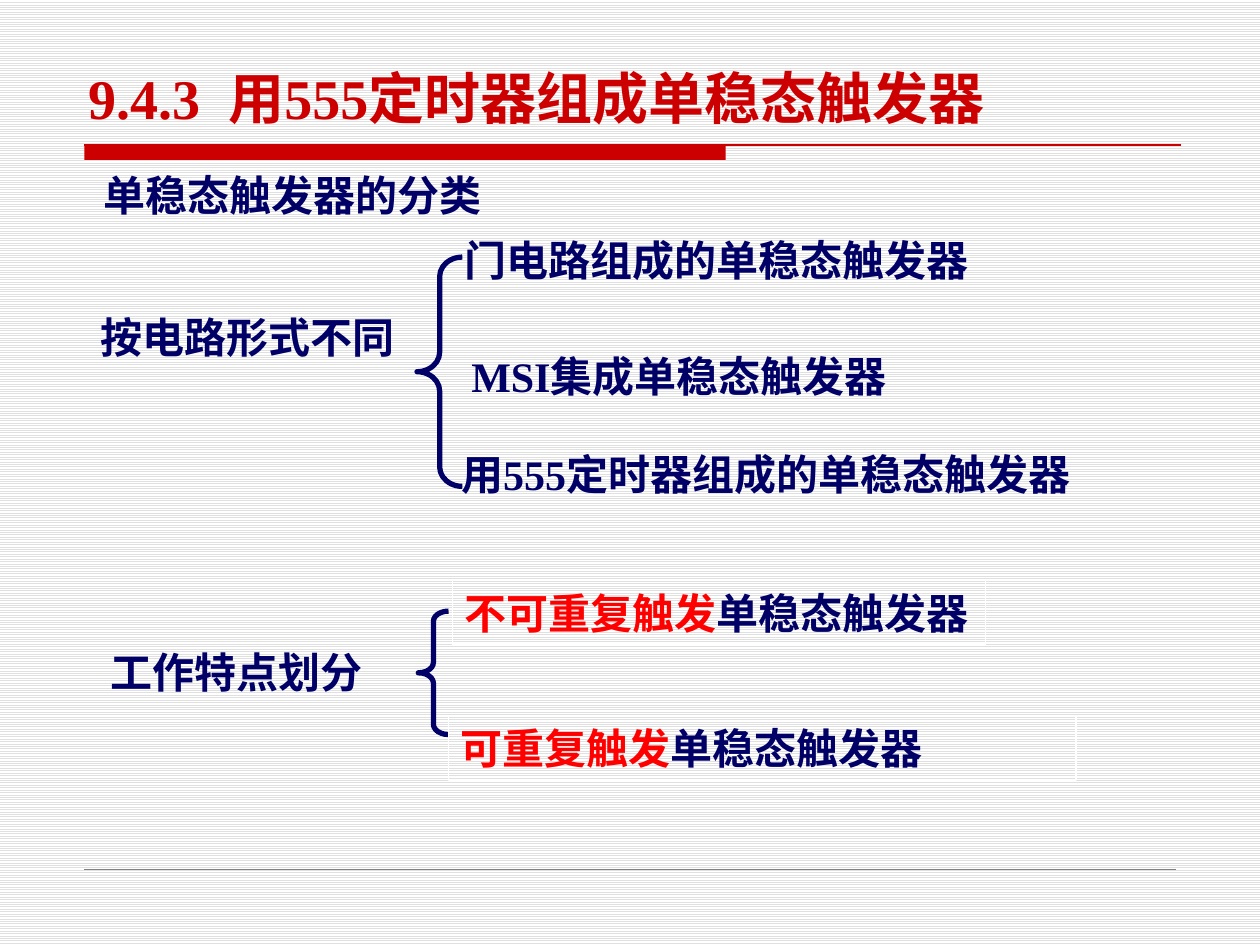
import dataclasses

import lxml.etree
import pptx
import pptx.dml.color
import pptx.enum.dml
import pptx.enum.shapes
import pptx.enum.text
import pptx.oxml.ns
import pptx.util

SHAPES = pptx.enum.shapes.MSO_SHAPE
ANCHORS = pptx.enum.text.MSO_ANCHOR


@dataclasses.dataclass(frozen=True)
class Theme:
    red: str = "CC0000"
    accent: str = "FF0000"
    navy: str = "000066"
    white: str = "FFFFFF"
    stripe: str = "E0E0E0"
    grey: str = "808080"
    title_size: int = 32
    body_size: int = 24
    serif: str = "Times New Roman"
    narrow: str = "Arial Narrow"
    chinese: str = "Noto Sans CJK SC"


def color(value):
    return pptx.dml.color.RGBColor.from_string(value)


class SlideBuilder:
    COLUMNS = 100
    ROWS = 75

    def __init__(self, deck, theme):
        self.deck = deck
        self.theme = theme
        self.page = deck.slides.add_slide(deck.slide_layouts[5])

    def place(self, left, top, width, height):
        column = self.deck.slide_width / self.COLUMNS
        row = self.deck.slide_height / self.ROWS
        return [round(n) for n in (left * column, top * row, width * column, height * row)]

    def background(self):
        fill = self.page.background.fill
        fill.patterned()
        fill.pattern = pptx.enum.dml.MSO_PATTERN.LIGHT_HORIZONTAL
        fill.fore_color.rgb = color(self.theme.stripe)
        fill.back_color.rgb = color(self.theme.white)

    def set_text(self, box, spans, size, anchor, margins):
        frame = box.text_frame
        frame.word_wrap = True
        frame.auto_size = pptx.enum.text.MSO_AUTO_SIZE.NONE
        frame.vertical_anchor = anchor
        frame.margin_left, frame.margin_top, frame.margin_right, frame.margin_bottom = [
            pptx.util.Inches(margin) for margin in margins
        ]
        para = frame.paragraphs[0]
        para.alignment = pptx.enum.text.PP_ALIGN.LEFT
        para.font.size = pptx.util.Pt(size)
        para.font.bold = True
        for text, font, ink in spans:
            span = para.add_run()
            span.text = text
            span.font.name = font
            span.font.color.rgb = color(ink)
            lxml.etree.SubElement(
                span._r.get_or_add_rPr(), pptx.oxml.ns.qn("a:ea"), typeface=self.theme.chinese
            )

    def title(self, spans, *area):
        box = self.page.shapes.title
        box.left, box.top, box.width, box.height = self.place(*area)
        self.set_text(box, spans, self.theme.title_size, ANCHORS.BOTTOM, (0, 0, 0, 0))

    def label(self, text, *area):
        box = self.page.shapes.add_textbox(*self.place(*area))
        spans = [(text, self.theme.serif, self.theme.navy)]
        self.set_text(box, spans, self.theme.body_size, ANCHORS.TOP, (0.1, 0.05, 0.1, 0.05))

    def branch(self, spans, *area):
        box = self.page.shapes.add_textbox(*self.place(*area))
        inked = [(text, font, self.theme.navy) for text, font in spans]
        self.set_text(box, inked, self.theme.body_size, ANCHORS.MIDDLE, (0, 0, 0, 0.05))

    def shape(self, kind, area, fill=None, line=None, weight=0.75):
        box = self.page.shapes.add_shape(kind, *self.place(*area))
        box.shadow.inherit = False
        if fill:
            box.fill.solid()
            box.fill.fore_color.rgb = color(fill)
        else:
            box.fill.background()
        if line:
            box.line.color.rgb = color(line)
            box.line.width = pptx.util.Pt(weight)
        else:
            box.line.fill.background()
        return box

    def framed(self, emphasis, rest, *area):
        box = self.shape(SHAPES.RECTANGLE, area, line=self.theme.white)
        spans = [
            (emphasis, self.theme.chinese, self.theme.accent),
            (rest, self.theme.serif, self.theme.navy),
        ]
        self.set_text(box, spans, self.theme.body_size, ANCHORS.MIDDLE, (0.1, 0.05, 0.1, 0.05))

    def brace(self, curve, *area):
        box = self.shape(SHAPES.LEFT_BRACE, area, line=self.theme.navy, weight=3)
        box.adjustments[0] = curve
        box.adjustments[1] = 0.5

    def rule(self, left, top, width, ink, weight):
        x, y, length, _ = self.place(left, top, width, 0)
        line = self.page.shapes.add_connector(
            pptx.enum.shapes.MSO_CONNECTOR.STRAIGHT, x, y, x + length, y
        )
        line.line.color.rgb = color(ink)
        line.line.width = pptx.util.Pt(weight)
        lxml.etree.SubElement(line._element.spPr, pptx.oxml.ns.qn("a:effectLst"))


def main():
    deck = pptx.Presentation()
    deck.slide_width = pptx.util.Inches(10)
    deck.slide_height = pptx.util.Inches(7.5)
    theme = Theme()
    slide = SlideBuilder(deck, theme)
    slide.background()

    slide.shape(SHAPES.RECTANGLE, (6.7, 11.5, 50.9, 1.2), fill=theme.red)
    slide.rule(6.7, 11.5, 87, theme.red, 0.75)
    slide.rule(6.7, 69, 86.6, theme.grey, 0.25)

    heading = [
        ("9.4.3  ", theme.serif),
        ("用", theme.narrow),
        ("555定时器", theme.serif),
        ("组成单稳态触发器", theme.narrow),
    ]
    slide.title([(text, font, theme.red) for text, font in heading], 7, 5.1, 84.9, 5.3)

    slide.label("单稳态触发器的分类", 7.2, 13, 38.5, 5)
    slide.label("按电路形式不同", 7, 24.2, 25.5, 5)
    slide.label("工作特点划分", 7.8, 50.8, 22.1, 5)

    slide.brace(0.43, 33.1, 20.4, 3.6, 18.2)
    slide.branch([(" 门电路组成的单稳态触发器", theme.narrow)], 36.1, 18.6, 59.7, 4.5)
    slide.branch(
        [("MSI", theme.serif), ("集成单稳态触发器", theme.narrow)], 37.4, 27.8, 39.5, 4.5
    )
    slide.branch(
        [("用555", theme.serif), ("定时器组成的单稳态触发器", theme.narrow)],
        36.6, 35.6, 53.8, 4.5,
    )

    slide.brace(0.34, 33.2, 48.5, 2.4, 9.8)
    slide.framed("不可重复触发", "单稳态触发器", 35.9, 46.1, 42.3, 5.1)
    slide.framed("可重复触发", "单稳态触发器", 35.6, 56.8, 49.8, 5.1)

    deck.save("out.pptx")


if __name__ == "__main__":
    main()
